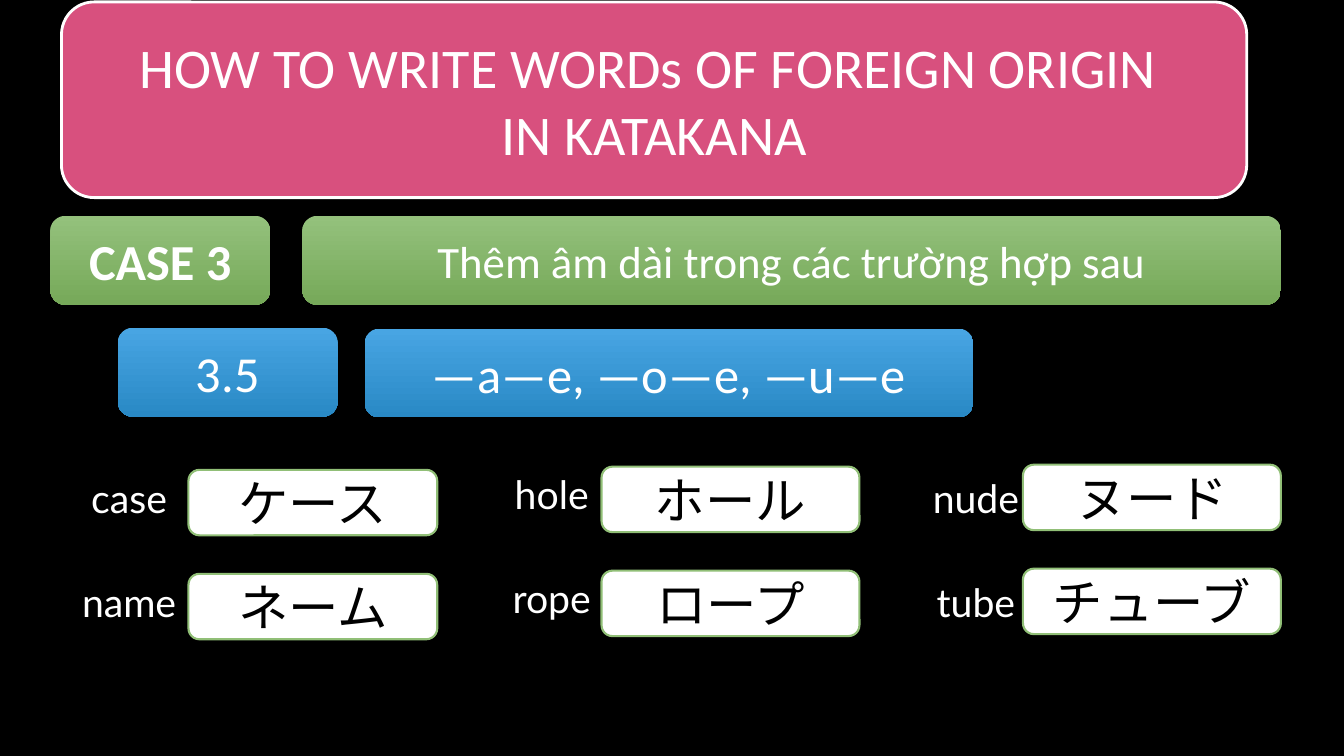
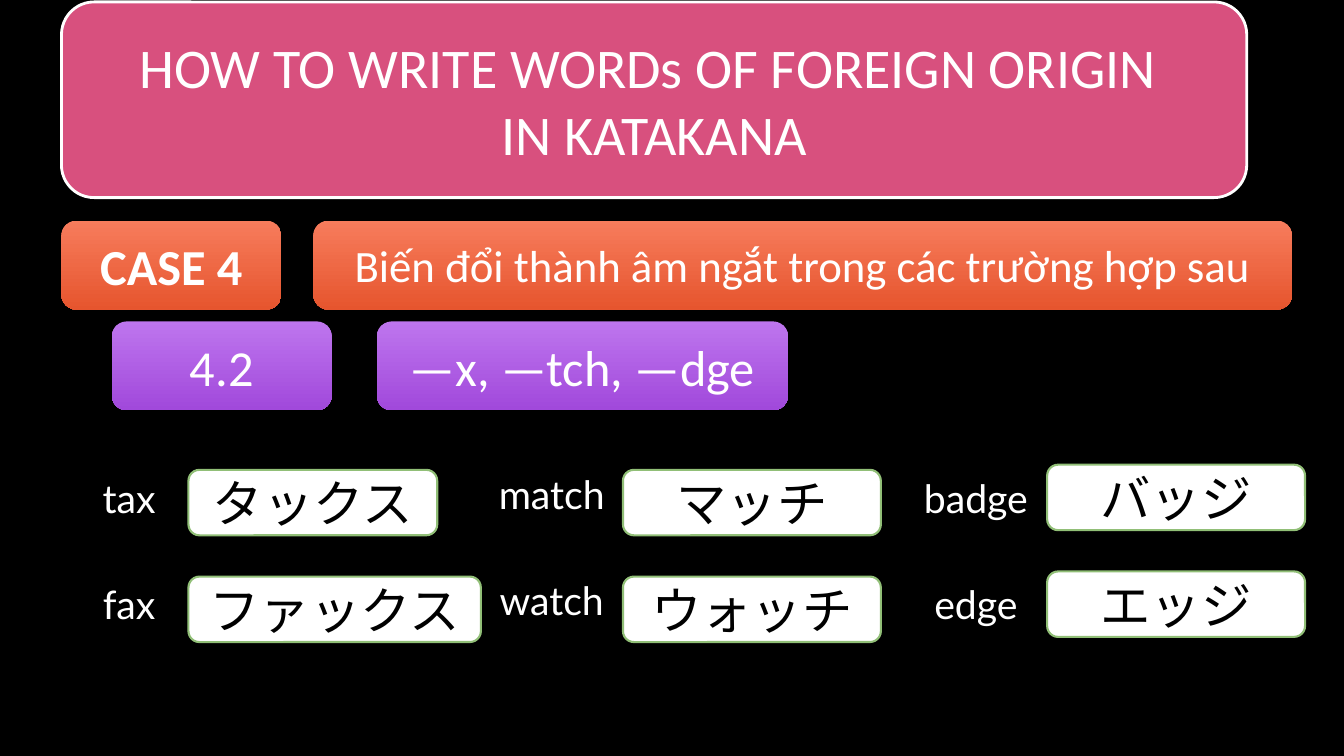
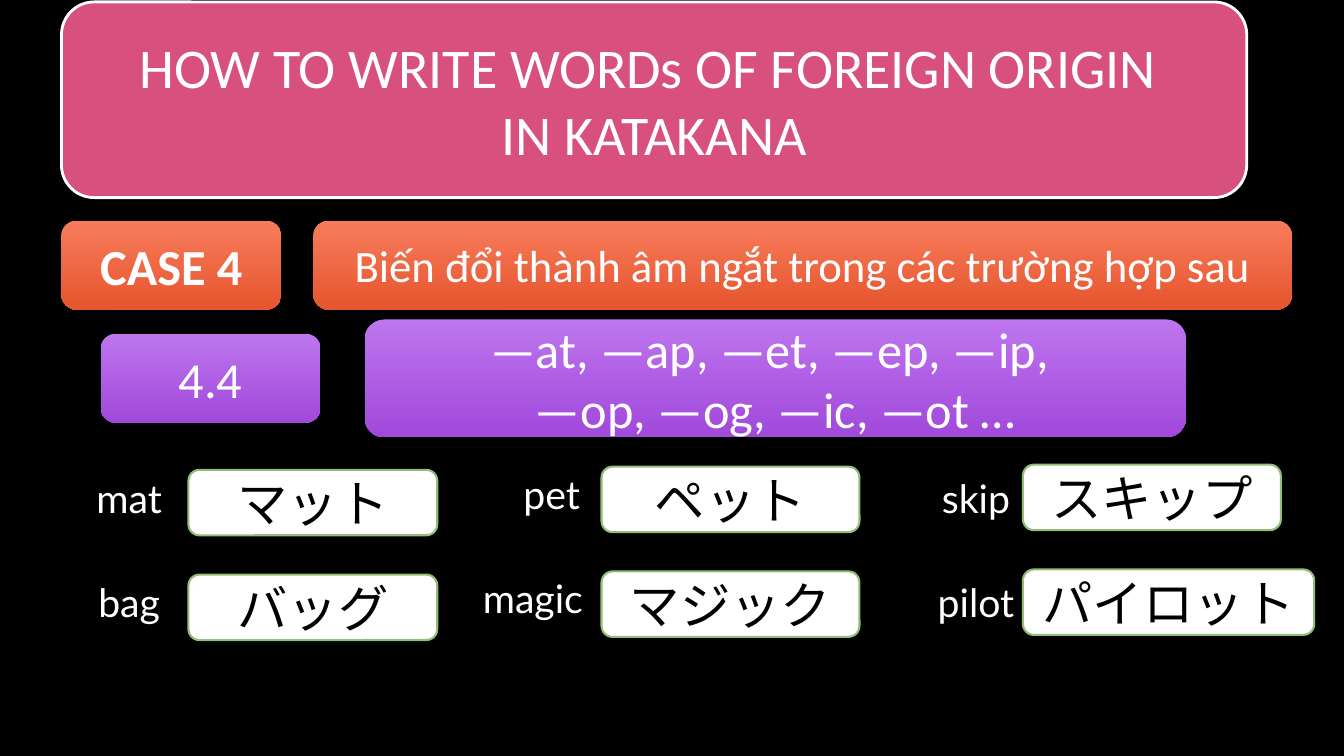
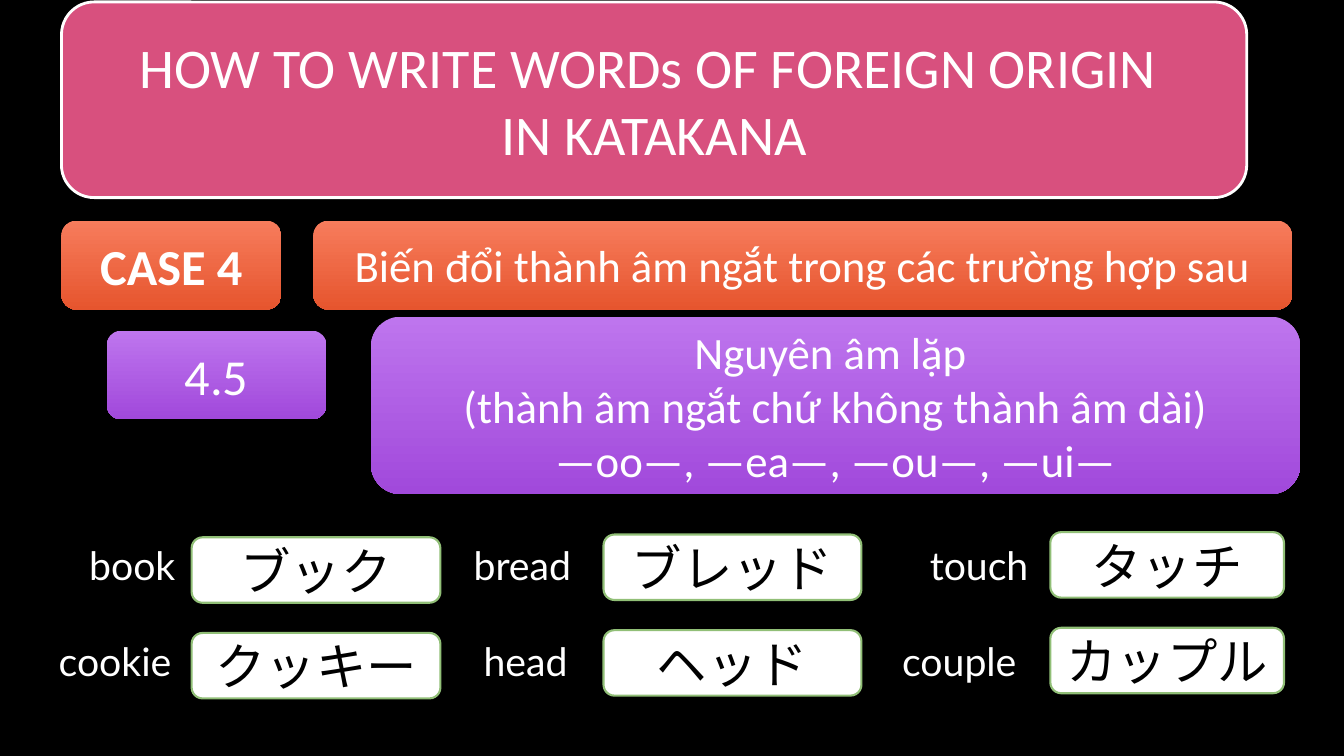
from pptx import Presentation
from pptx.dml.color import RGBColor
from pptx.enum.shapes import MSO_SHAPE
from pptx.enum.text import MSO_ANCHOR, MSO_AUTO_SIZE, PP_ALIGN
from pptx.util import Cm, Pt

ROUND = MSO_SHAPE.ROUNDED_RECTANGLE
MIDDLE = MSO_ANCHOR.MIDDLE
CENTER = PP_ALIGN.CENTER
FIXED = MSO_AUTO_SIZE.NONE

COLORS = {
    "black": "000000", "white": "FFFFFF", "pink": "D8507E", "edge": "91BF77",
}
BLENDS = {
    "green": ("94C17C", "76A959"), "blue": ("48A5E3", "2989C5"),
    "orange": ("F77C5C", "E6552E"), "purple": ("BE75EE", "A149DB"),
}
FONTS = {
    "title": {"name": "Calibri", "size": Pt(40), "bold": False},
    "case": {"name": "Calibri", "size": Pt(36), "bold": True},
    "rule": {"name": "Calibri", "size": Pt(36)},
    "note": {"name": "Calibri", "size": Pt(32)},
    "word": {"name": "Lato", "size": Pt(28)},
    "kana": {"name": "Lato", "size": Pt(36)},
}
TITLE = "HOW TO WRITE WORDs OF FOREIGN ORIGIN \nIN KATAKANA"
PANEL = (1.55, 0.05, 29.87, 4.93)
TAG_W, TAG_H = 5.54, 2.24      # case and number tags
NOTE_DX, NOTE_W = 6.35, 24.66  # case text, from the left of its tag
WORD_W, ROW_H = 3.57, 1.65


class Deck:
    def __init__(self):
        self.prs = Presentation()
        self.prs.slide_width, self.prs.slide_height = Cm(33.87), Cm(19.05)
        fill = self.prs.slide_master.background.fill
        fill.solid()
        fill.fore_color.rgb = self.rgb("black")
        self.page = None

    def rgb(self, key):
        return RGBColor.from_string(COLORS.get(key, key))

    def label(self, shape, text, style, color="white"):
        frame = shape.text_frame
        frame.text = text
        frame.word_wrap = True
        frame.auto_size = FIXED
        frame.vertical_anchor = MIDDLE
        for para in frame.paragraphs:
            para.alignment = CENTER
            for name, value in FONTS[style].items():
                setattr(para.font, name, value)
            para.font.color.rgb = self.rgb(color)

    def box(self, area, fill=None, line=None, width=1.5):
        shape = self.page.shapes.add_shape(ROUND, *map(Cm, area))
        shape.shadow.inherit = False
        if fill in BLENDS:
            shape.fill.gradient()
            shape.fill.gradient_angle = 270
            for spot, (stop, tint) in enumerate(
                    zip(shape.fill.gradient_stops, BLENDS[fill])):
                stop.position = spot
                stop.color.rgb = self.rgb(tint)
        elif fill:
            shape.fill.solid()
            shape.fill.fore_color.rgb = self.rgb(fill)
        else:
            shape.fill.background()
        if line:
            shape.line.color.rgb = self.rgb(line)
            shape.line.width = Pt(width)
        else:
            shape.line.fill.background()
        return shape

    def start(self):
        self.page = self.prs.slides.add_slide(self.prs.slide_layouts[5])
        panel = self.box(PANEL, "pink", "white", 2)
        title = self.page.shapes.title
        title.left, title.top, title.width, title.height = map(Cm, PANEL)
        self.label(title, TITLE, "title")
        # The panel lies behind the title
        title._element.addprevious(panel._element)

    def case(self, x, y, fill, tag, note):
        self.label(self.box((x, y, TAG_W, TAG_H), fill), tag, "case")
        area = (x + NOTE_DX, y, NOTE_W, TAG_H)
        self.label(self.box(area, fill), note, "note")

    def rule(self, fill, num, spot, text, area, style="rule"):
        self.label(self.box((*spot, TAG_W, TAG_H), fill), num, "rule")
        self.label(self.box(area, fill), text, style)

    def words(self, top, step, cols, rows):
        for i, row in enumerate(rows):
            y = top + i * step
            for col, (word, kana, *more) in zip(cols, row):
                x, drop, left, fall, wide = col
                own = more[0] if more else {}
                area = (own.get("x", x), y + drop, own.get("w", WORD_W), ROW_H)
                self.label(self.box(area), word, "word")
                area = (left, y + fall, own.get("wide", wide), ROW_H)
                self.label(self.box(area, "white", "edge"), kana, "kana",
                           "black")


# Columns: word left, word drop, kana left, kana drop, kana width
FIRST = (1.47, 0, 4.75, 0.13, 6.27)
BASE = [FIRST, (12.12, -0.1, 15.16, 0.05, 6.5), (22.81, 0, 25.78, 0, 6.5)]
WIDE = [FIRST, (12.12, -0.1, 15.7, 0.13, 6.5), (22.81, 0, 26.39, 0, 6.5)]
LOW = [(1.55, 0, 4.83, 0.13, 6.27), (11.38, 0, 15.21, 0.06, 6.5),
       (22.89, 0, 26.47, 0, 5.89)]

LONG = (1.27, 5.44, "green", "CASE 3", "Thêm âm dài trong các trường hợp sau")
STOP = (1.55, 5.56, "orange", "CASE 4",
        "Biến đổi thành âm ngắt trong các trường hợp sau")

# Slides: case, rule, words
PAGES = [
    (LONG,
     ("blue", "3.5", (2.97, 8.26), "—a—e, —o—e, —u—e",
      (9.19, 8.28, 15.34, TAG_H)),
     (11.71, 2.62, BASE, [
         [("case", "ケース"), ("hole", "ホール"), ("nude", "ヌード")],
         [("name", "ネーム"), ("rope", "ロープ"), ("tube", "チューブ")]])),
    (STOP,
     ("purple", "4.2", (2.82, 8.1), "—x, —tch, —dge",
      (9.5, 8.1, 10.36, TAG_H)),
     (11.71, 2.69, WIDE, [
         [("tax", "タックス"), ("match", "マッチ"), ("badge", "バッジ")],
         [("fax", "ファックス", {"wide": 7.37}), ("watch", "ウォッチ"),
          ("edge", "エッジ")]])),
    (STOP,
     ("purple", "4.4", (2.54, 8.41),
      "—at, —ap, —et, —ep, —ip, \n—op, —og, —ic, —ot …",
      (9.19, 8.05, 20.7, 2.97)),
     (11.71, 2.64, BASE, [
         [("mat", "マット"), ("pet", "ペット"), ("skip", "スキップ")],
         [("bag", "バッグ"), ("magic", "マジック", {"x": 11.73, "w": 3.4}),
          ("pilot", "パイロット", {"wide": 7.34})]])),
    (STOP,
     ("purple", "4.5", (2.69, 8.33),
      "Nguyên âm lặp \n(thành âm ngắt chứ không thành âm dài)\n"
      "—oo—, —ea—, —ou—, —ui—",
      (9.35, 7.98, 23.42, 4.47), "note"),
     (13.41, 2.41, LOW, [
         [("book", "ブック"), ("bread", "ブレッド"), ("touch", "タッチ")],
         [("cookie", "クッキー", {"x": 0.69, "w": 4.42}),
          ("head", "ヘッド", {"x": 11.46}),
          ("couple", "カップル", {"x": 21.89, "w": 4.57})]])),
]


def main():
    deck = Deck()
    for case, rule, words in PAGES:
        deck.start()
        deck.case(*case)
        deck.rule(*rule)
        deck.words(*words)
    deck.prs.save("out.pptx")


if __name__ == "__main__":
    main()
